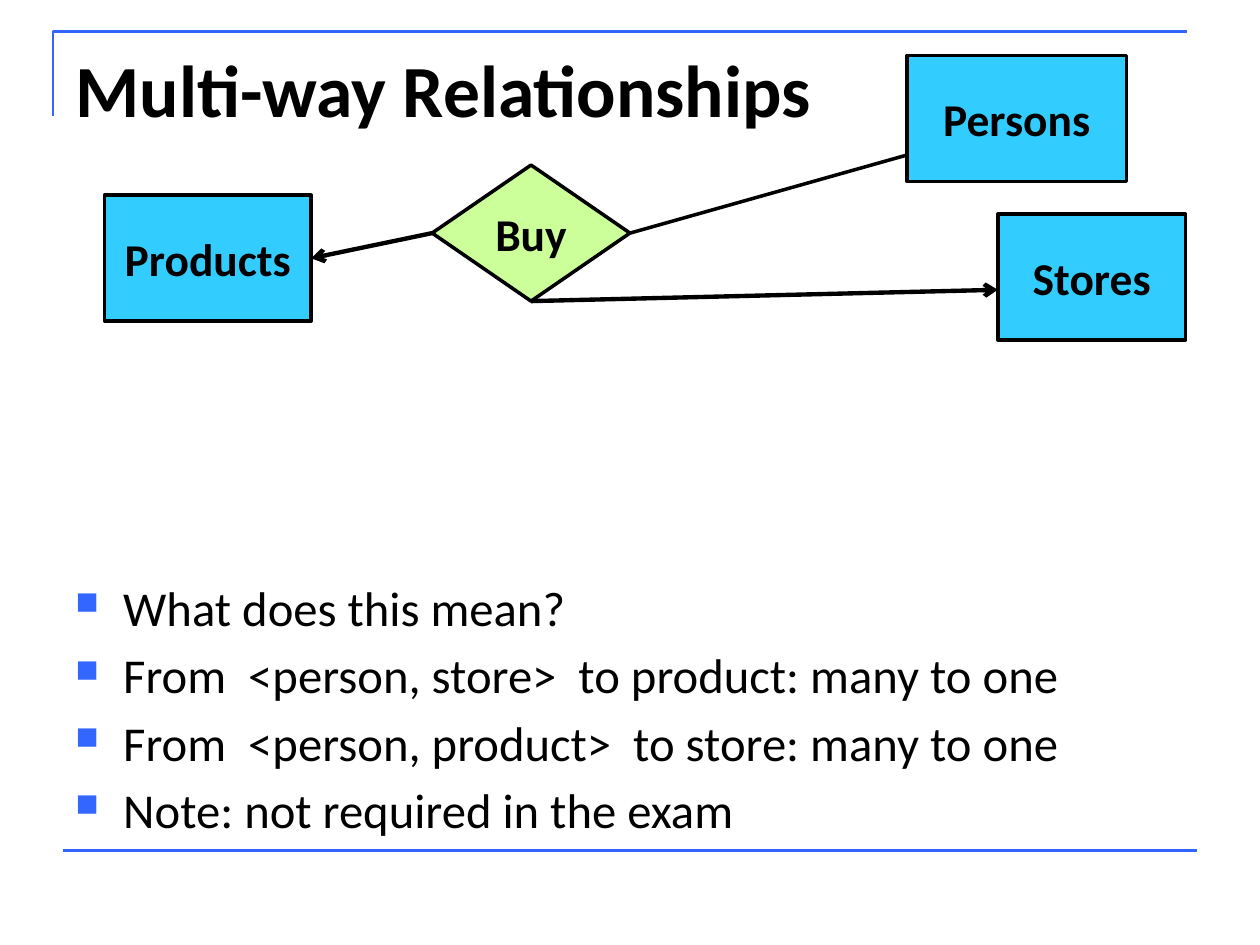
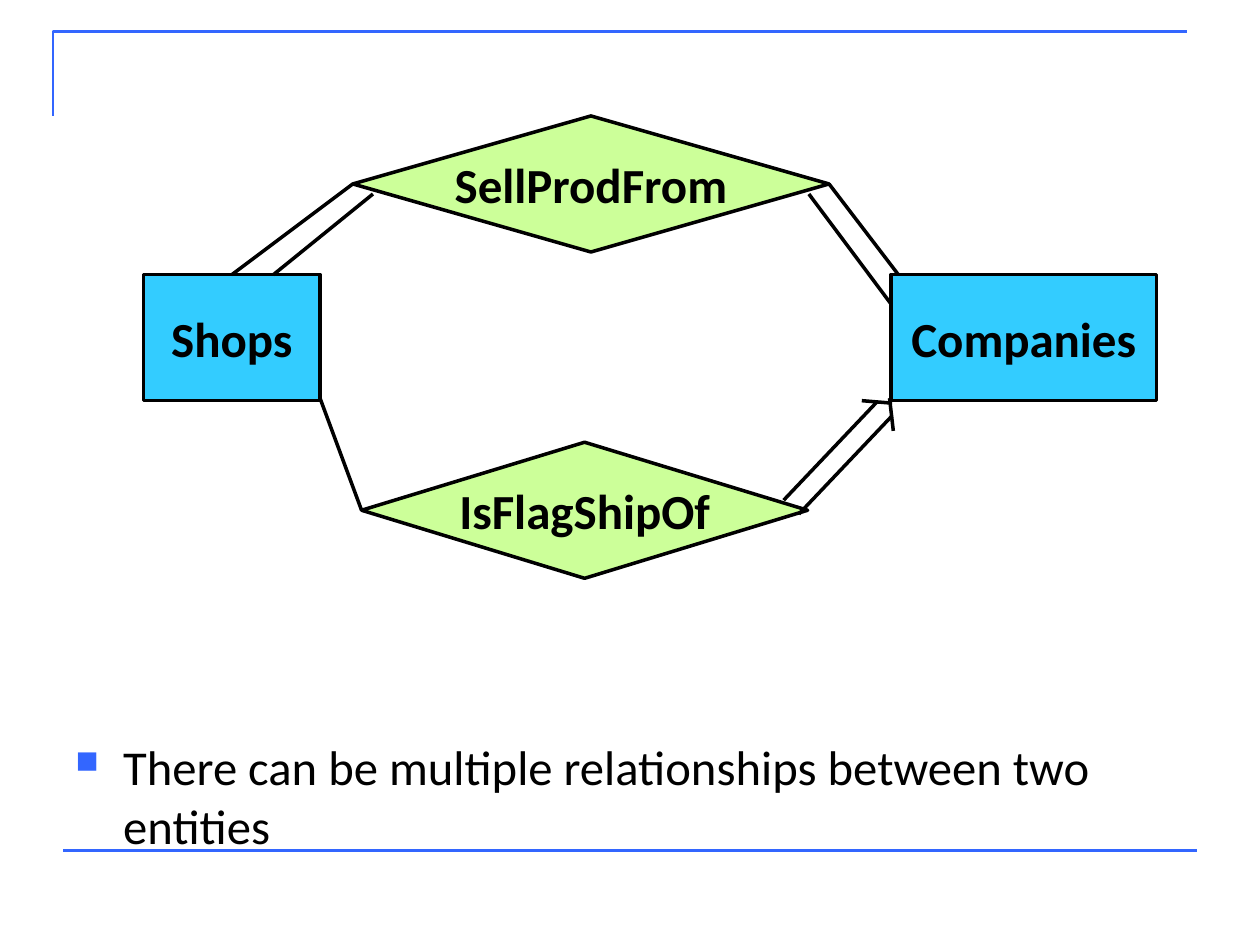
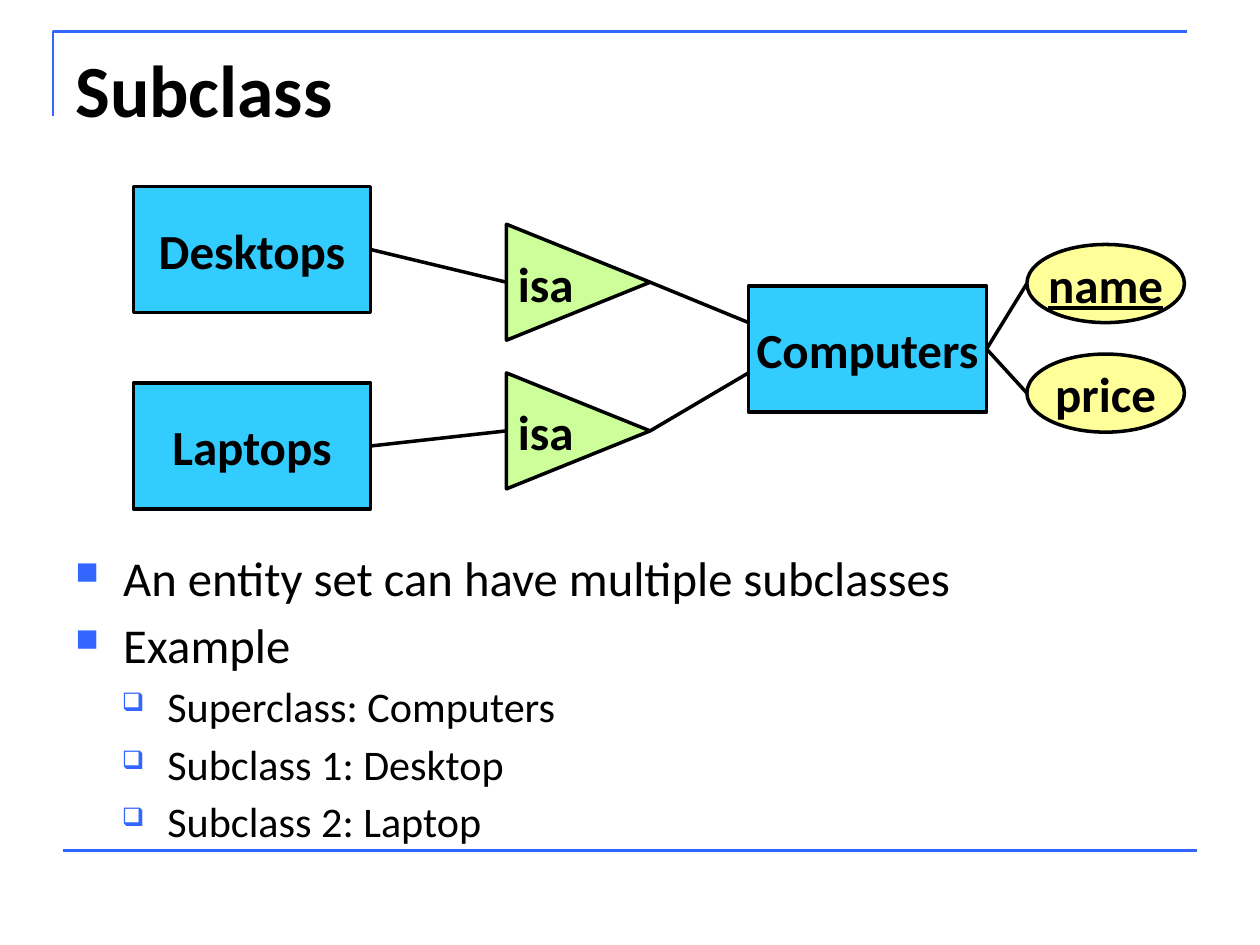
import dataclasses

import pptx
import pptx.dml.color
import pptx.enum.shapes
import pptx.enum.text
import pptx.oxml.ns
import pptx.util
from lxml import etree

Inches = pptx.util.Inches
Pt = pptx.util.Pt
qn = pptx.oxml.ns.qn
Preset = pptx.enum.shapes.MSO_SHAPE
Align = pptx.enum.text.PP_ALIGN
Anchor = pptx.enum.text.MSO_ANCHOR

FONT = "Calibri"
INK, ACCENT = "000000", "3366FF"
ENTITY, RELATION, ATTRIBUTE = "33CCFF", "CCFF99", "FFFF99"
TOP, LEFT, BOTTOM, RIGHT = range(4)
LEVELS = [
    {"mark": "■", "mark_size": 65, "left": 0.38, "hang": 0.38, "size": 27.8, "before": 5},
    {"mark": "❑", "mark_size": 60, "left": 0.73, "hang": 0.36, "size": 24.1, "before": 4},
]


@dataclasses.dataclass
class Region:
    """A box on a page; parts are placed from its top left corner."""

    page: object
    left: float
    top: float
    width: float
    height: float

    def place(self, x, y):
        """Turn an offset in the box into a place on the page."""
        return Inches(self.left + x), Inches(self.top + y)


def color(value):
    """Make a colour from a hex string."""
    return pptx.dml.color.RGBColor.from_string(value)


def style_font(font, size, bold=False, underline=False):
    """Give a font the deck's face and ink."""
    font.name, font.size = FONT, Pt(size)
    font.bold, font.underline = bold, underline
    font.color.rgb = color(INK)


def style_line(line, width, ink=INK):
    """Set a line's colour and width."""
    line.color.rgb = color(ink)
    line.width = Pt(width)


def add_node(region, preset, text, fill, spot, size, font_size, underline=False):
    """Add an outlined shape with a centred bold label."""
    shape = region.page.shapes.add_shape(preset, *region.place(*spot), *map(Inches, size))
    shape.shadow.inherit = False
    shape.fill.solid()
    shape.fill.fore_color.rgb = color(fill)
    style_line(shape.line, 2)
    frame = shape.text_frame
    frame.word_wrap = False
    frame.vertical_anchor = Anchor.MIDDLE
    frame.text = text
    para = frame.paragraphs[0]
    para.alignment = Align.CENTER
    style_font(para.runs[0].font, font_size, True, underline)
    return shape


def add_entity(region, text, spot, width, font_size=28):
    """Add an entity rectangle."""
    return add_node(region, Preset.RECTANGLE, text, ENTITY, spot, (width, 1), font_size)


def add_relation(region, text, spot, width, font_size=28):
    """Add a relationship diamond."""
    return add_node(region, Preset.DIAMOND, text, RELATION, spot, (width, 1.08), font_size)


def add_isa(region, spot):
    """Add a triangle pointing right, with upright text."""
    shape = add_node(region, Preset.ISOSCELES_TRIANGLE, "isa", RELATION, spot, (0.92, 1.14), 28)
    shape.rotation = 90
    frame = shape.text_frame
    frame.margin_left = frame.margin_right = frame.margin_top = frame.margin_bottom = 0
    frame.vertical_anchor = Anchor.TOP
    frame._txBody.bodyPr.set("vert", "vert270")
    para = frame.paragraphs[0]
    para.alignment = Align.LEFT
    para._p.get_or_add_pPr().set("marL", str(Inches(0.09)))


def add_link(region, start, end, width=2, arrow=False, ink=INK):
    """Draw a line between two ends, each an offset or a (shape, side) pair."""
    joined = [hasattr(item[0], "shape_id") for item in (start, end)]
    spots = [(0, 0) if tied else region.place(*item) for item, tied in zip((start, end), joined)]
    link = region.page.shapes.add_connector(
        pptx.enum.shapes.MSO_CONNECTOR.STRAIGHT, *spots[0], *spots[1])
    if joined[0]:
        link.begin_connect(*start)
    if joined[1]:
        link.end_connect(*end)
    style_line(link.line, width, ink)
    if arrow:
        etree.SubElement(link.line._get_or_add_ln(), qn("a:tailEnd"), type="arrow")
    etree.SubElement(link._element.spPr, qn("a:effectLst"))


def add_rules(region):
    """Draw the corner rule at the top and the rule at the foot."""
    builder = region.page.shapes.build_freeform(*region.place(0, 0.67))
    builder.add_line_segments([region.place(0, 0), region.place(9, 0)], close=False)
    corner = builder.convert_to_shape()
    corner.shadow.inherit = False
    corner.fill.background()
    style_line(corner.line, 1.5, ACCENT)
    add_link(region, (0.08, region.height), (region.width, region.height), 1.5, ink=ACCENT)


def add_text_frame(region):
    """Add a wrapping text box that fills the region."""
    box = region.page.shapes.add_textbox(
        *region.place(0, 0), Inches(region.width), Inches(region.height))
    box.text_frame.word_wrap = True
    return box.text_frame


def add_title(region, text):
    """Write the page title."""
    frame = add_text_frame(region)
    frame.text = text
    style_font(frame.paragraphs[0].runs[0].font, 42, True)


def add_bullets(region, items):
    """Write bullets given as (level, text) pairs."""
    frame = add_text_frame(region)
    frame.text = "\n".join(text for _, text in items)
    for index, (para, (depth, _)) in enumerate(zip(frame.paragraphs, items)):
        level = LEVELS[depth]
        para.level = depth
        if index:
            para.space_before = Pt(level["before"])
        props = para._p.get_or_add_pPr()
        props.set("marL", str(Inches(level["left"])))
        props.set("indent", str(-Inches(level["hang"])))
        tint = etree.SubElement(props, qn("a:buClr"))
        etree.SubElement(tint, qn("a:srgbClr"), val=ACCENT)
        etree.SubElement(props, qn("a:buSzPct"), val=str(level["mark_size"] * 1000))
        etree.SubElement(props, qn("a:buChar"), char=level["mark"])
        style_font(para.runs[0].font, level["size"])


def draw_purchase(region):
    """Draw the three-way Buy relationship."""
    add_entity(region, "Persons", (6.37, 0), 1.74, 26)
    products = add_entity(region, "Products", (0, 1.11), 1.64, 26)
    buy = add_relation(region, "Buy", (2.6, 0.87), 1.57, 26)
    add_entity(region, "Stores", (7.09, 1.26), 1.49, 26)
    add_link(region, (buy, RIGHT), (6.37, 0.79))
    add_link(region, (buy, LEFT), (products, RIGHT), 2.5, arrow=True)
    add_link(region, (buy, BOTTOM), (7.09, 1.86), 2.5, arrow=True)


def draw_shops(region):
    """Draw two relationships between shops and companies."""
    shops = add_entity(region, "Shops", (0, 1.26), 1.4)
    add_entity(region, "Companies", (5.93, 1.26), 2.11)
    sells = add_relation(region, "SellProdFrom", (1.66, 0), 3.78)
    flagship = add_relation(region, "IsFlagShipOf", (1.73, 2.59), 3.54)
    links = [
        ((shops, TOP), (sells, LEFT)),
        ((1.03, 1.26), (1.82, 0.62)),
        ((sells, RIGHT), (5.99, 1.26)),
        ((5.28, 0.62), (5.93, 1.49)),
        ((flagship, LEFT), (1.4, 2.24)),
        ((5.94, 2.38), (5.2, 3.16)),
        ((5.82, 2.27), (5.08, 3.05)),
        ((5.92, 2.24), (5.95, 2.5)),
        ((5.94, 2.28), (5.7, 2.26)),
    ]
    for start, end in links:
        add_link(region, start, end)


def draw_subclasses(region):
    """Draw computers with two subclasses and two attributes."""
    computers = add_entity(region, "Computers", (4.88, 0.79), 1.89)
    for row, (name, target) in enumerate([("Desktops", 1.08), ("Laptops", 1.48)]):
        subclass = add_entity(region, name, (0, 1.56 * row), 1.88)
        middle = 0.76 + 1.18 * row
        add_isa(region, (3.07, middle - 0.57))
        add_link(region, (subclass, RIGHT), (2.96, middle))
        add_link(region, (4.1, middle), (4.88, target))
    for row, name in enumerate(["name", "price"]):
        top = 0.46 + 0.87 * row
        add_node(region, Preset.OVAL, name, ATTRIBUTE, (7.09, top), (1.25, 0.62), 28, row == 0)
        add_link(region, (7.09, top + 0.31), (computers, RIGHT))


def add_page(deck, title, draw, corner, size, body_top, items):
    """Add a page with rules, a title, a diagram and bullets."""
    page = deck.slides.add_slide(deck.slide_layouts[6])
    add_rules(Region(page, 0.42, 0.25, 9.08, 6.5))
    if title:
        add_title(Region(page, 0.5, 0.3, 9, 1.25), title)
    add_bullets(Region(page, 0.5, body_top, 9, 6.71 - body_top), items)
    draw(Region(page, *corner, *size))


def main():
    """Build and save the deck."""
    deck = pptx.Presentation()
    deck.slide_width, deck.slide_height = Inches(10), Inches(7.5)
    add_page(deck, "Multi-way Relationships", draw_purchase, (0.83, 0.44), (8.58, 2.26), 4.54, [
        (0, "What does this mean?"),
        (0, "From  <person, store>  to product: many to one"),
        (0, "From  <person, product>  to store: many to one"),
        (0, "Note: not required in the exam"),
    ])
    add_page(deck, None, draw_shops, (1.14, 0.92), (8.04, 3.67), 5.8, [
        (0, "There can be multiple relationships between two entities"),
    ])
    add_page(deck, "Subclass", draw_subclasses, (1.06, 1.48), (8.34, 2.56), 4.3, [
        (0, "An entity set can have multiple subclasses"),
        (0, "Example"),
        (1, "Superclass: Computers"),
        (1, "Subclass 1: Desktop"),
        (1, "Subclass 2: Laptop"),
    ])
    deck.save("out.pptx")


if __name__ == "__main__":
    main()
